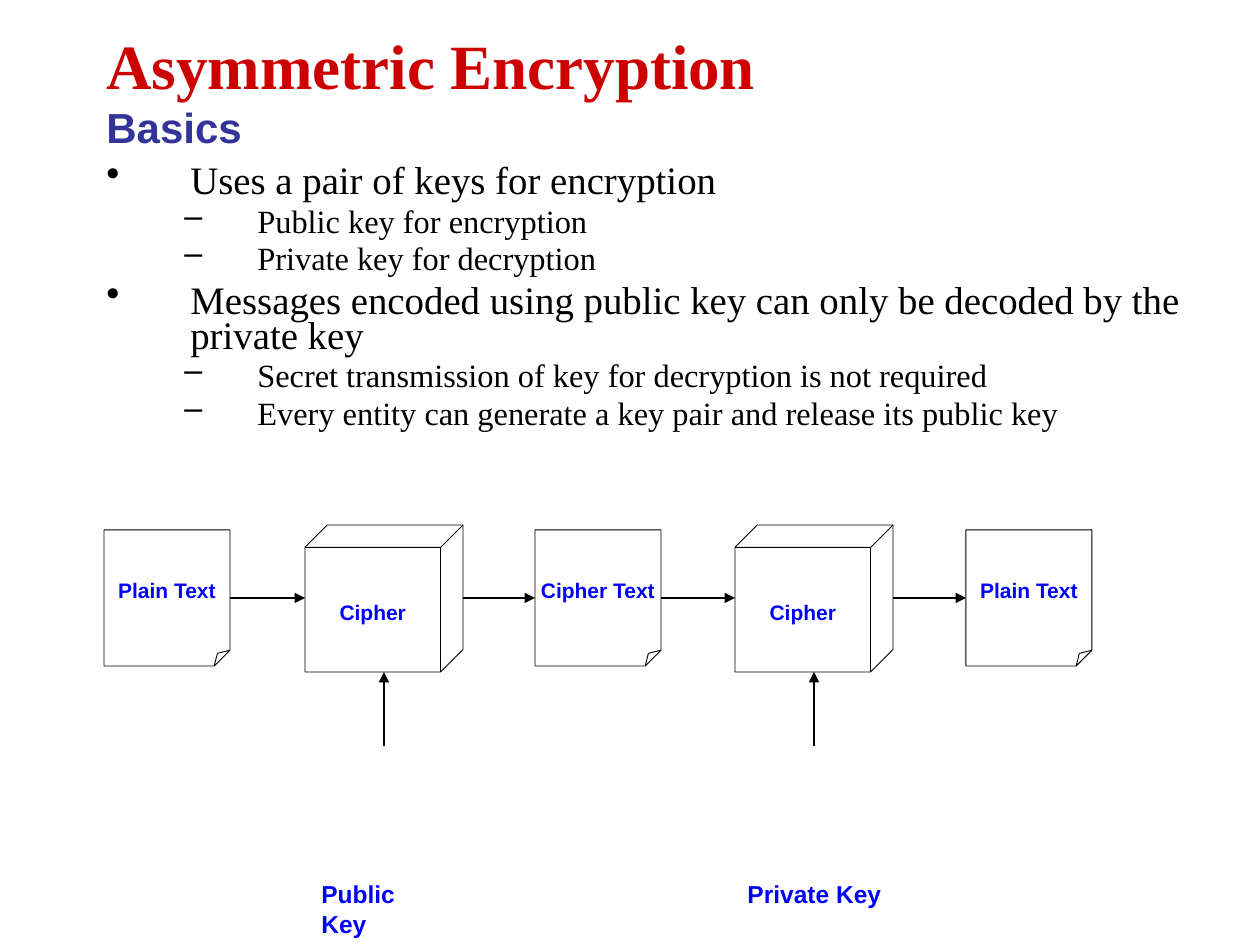
from dataclasses import dataclass

from lxml.etree import SubElement
from pptx import Presentation
from pptx.dml.color import RGBColor
from pptx.enum.shapes import MSO_CONNECTOR as Connector, MSO_SHAPE as Preset
from pptx.enum.text import MSO_ANCHOR as Anchor, PP_ALIGN as Align
from pptx.oxml.ns import qn
from pptx.util import Emu, Pt

PX_PER_INCH = 126


def px(length: int) -> Emu:
    return Emu(round(length * 914400 / PX_PER_INCH))


@dataclass(frozen=True)
class Theme:
    title: RGBColor = RGBColor(0xCC, 0x00, 0x00)
    subtitle: RGBColor = RGBColor(0x33, 0x33, 0x99)
    ink: RGBColor = RGBColor(0x00, 0x00, 0x00)
    label: RGBColor = RGBColor(0x00, 0x00, 0xFF)
    serif: str = "Times New Roman"
    sans: str = "Arial"
    title_size: float = 36
    subtitle_size: float = 24
    node_size: float = 12
    key_size: float = 14
    outline: float = 0.5
    arrow: float = 1.5


@dataclass(frozen=True)
class Level:
    mark: str
    size: float
    margin: int
    hanging: int
    before: float


@dataclass(frozen=True)
class Node:
    text: str
    left: int
    top: int
    width: int
    height: int
    preset: Preset
    depth: int  # fold or cube depth, in thousandths of the short side
    inset_top: int


@dataclass(frozen=True)
class Arrow:
    x1: int
    y1: int
    x2: int
    y2: int


THEME = Theme()

LEVELS = (
    Level("•", 22.2, 84, 84, 6),
    Level("–", 18.5, 151, 73, 5),
)
BULLETS = (
    (0, "Uses a pair of keys for encryption"),
    (1, "Public key for encryption"),
    (1, "Private key for decryption"),
    (0, "Messages encoded using public key can only be decoded by the private key"),
    (1, "Secret transmission of key for decryption is not required"),
    (1, "Every entity can generate a key pair and release its public key"),
)


def document(text: str, left: int) -> Node:
    return Node(text, left, 530, 126, 136, Preset.FOLDED_CORNER, 125, 6)


def cipher(left: int) -> Node:
    return Node("Cipher", left, 525, 158, 147, Preset.CUBE, 152, 11)


NODES = (
    document("Plain Text", 104),
    cipher(305),
    document("Cipher Text", 535),
    cipher(735),
    document("Plain Text", 966),
)
FLOW_Y = 598
KEYS = (("Public Key", 309, 150), ("Private Key", 735, 159))


def add_span(para, text: str, font: str, size: float, color: RGBColor, bold: bool) -> None:
    span = para.add_run()
    span.text = text
    span.font.name = font
    span.font.size = Pt(size)
    span.font.bold = bold
    span.font.color.rgb = color


def add_box(page, left: int, top: int, width: int, height: int, wrap: bool = True):
    frame = page.shapes.add_textbox(px(left), px(top), px(width), px(height)).text_frame
    frame.word_wrap = wrap
    return frame


def set_bullet(para, level: Level) -> None:
    props = para._p.get_or_add_pPr()
    props.set("marL", str(px(level.margin)))
    props.set("indent", str(-px(level.hanging)))
    color = SubElement(props, qn("a:buClr"))
    SubElement(color, qn("a:srgbClr")).set("val", str(THEME.ink))
    SubElement(props, qn("a:buChar")).set("char", level.mark)


def set_depth(shape, depth: int) -> None:
    # The folded corner has no entry in shape.adjustments
    guides = shape._element.spPr.find(qn("a:prstGeom")).get_or_add_avLst()
    guides.clear()
    SubElement(guides, qn("a:gd"), name="adj", fmla=f"val {depth * 100}")


def add_title(page) -> None:
    frame = add_box(page, 94, 10, 1071, 158)
    frame.vertical_anchor = Anchor.MIDDLE
    para = frame.paragraphs[0]
    add_span(para, "Asymmetric Encryption", THEME.serif, THEME.title_size, THEME.title, True)
    para.add_line_break()
    add_span(para, "Basics", THEME.sans, THEME.subtitle_size, THEME.subtitle, True)


def add_bullets(page) -> None:
    frame = add_box(page, 94, 158, 1134, 315)
    frame.margin_top = px(9)
    for index, (depth, text) in enumerate(BULLETS):
        level = LEVELS[depth]
        para = frame.add_paragraph() if index else frame.paragraphs[0]
        para.level = depth
        para.line_spacing = 0.74
        if index:
            para.space_before = Pt(level.before)
        set_bullet(para, level)
        add_span(para, text, THEME.serif, level.size, THEME.ink, False)


def add_node(page, node: Node) -> None:
    shape = page.shapes.add_shape(
        node.preset, px(node.left), px(node.top), px(node.width), px(node.height))
    set_depth(shape, node.depth)
    shape.shadow.inherit = False
    shape.fill.background()
    shape.line.color.rgb = THEME.ink
    shape.line.width = Pt(THEME.outline)
    frame = shape.text_frame
    frame.word_wrap = False
    frame.vertical_anchor = Anchor.MIDDLE
    frame.margin_top = px(node.inset_top)
    para = frame.paragraphs[0]
    para.alignment = Align.CENTER
    add_span(para, node.text, THEME.sans, THEME.node_size, THEME.label, True)


def add_arrow(page, arrow: Arrow) -> None:
    line = page.shapes.add_connector(
        Connector.STRAIGHT, px(arrow.x1), px(arrow.y1), px(arrow.x2), px(arrow.y2))
    line.line.color.rgb = THEME.ink
    line.line.width = Pt(THEME.arrow)
    SubElement(line.line._get_or_add_ln(), qn("a:tailEnd")).set("type", "triangle")
    SubElement(line._element.spPr, qn("a:effectLst"))


def main() -> None:
    deck = Presentation()
    deck.slide_width, deck.slide_height = px(1260), px(945)
    page = deck.slides.add_slide(deck.slide_layouts[6])

    # Heading and bullet list
    add_title(page)
    add_bullets(page)

    # Documents and ciphers, joined from left to right
    for node in NODES:
        add_node(page, node)
    for source, target in zip(NODES, NODES[1:]):
        add_arrow(page, Arrow(source.left + source.width, FLOW_Y, target.left, FLOW_Y))

    # A key feeding each cipher from below
    for node in NODES[1::2]:
        center = node.left + node.width // 2
        add_arrow(page, Arrow(center, 746, center, node.top + node.height))
    for text, left, width in KEYS:
        para = add_box(page, left, 873, width, 43, wrap=False).paragraphs[0]
        add_span(para, text, THEME.sans, THEME.key_size, THEME.label, True)

    deck.save("out.pptx")


if __name__ == "__main__":
    main()
